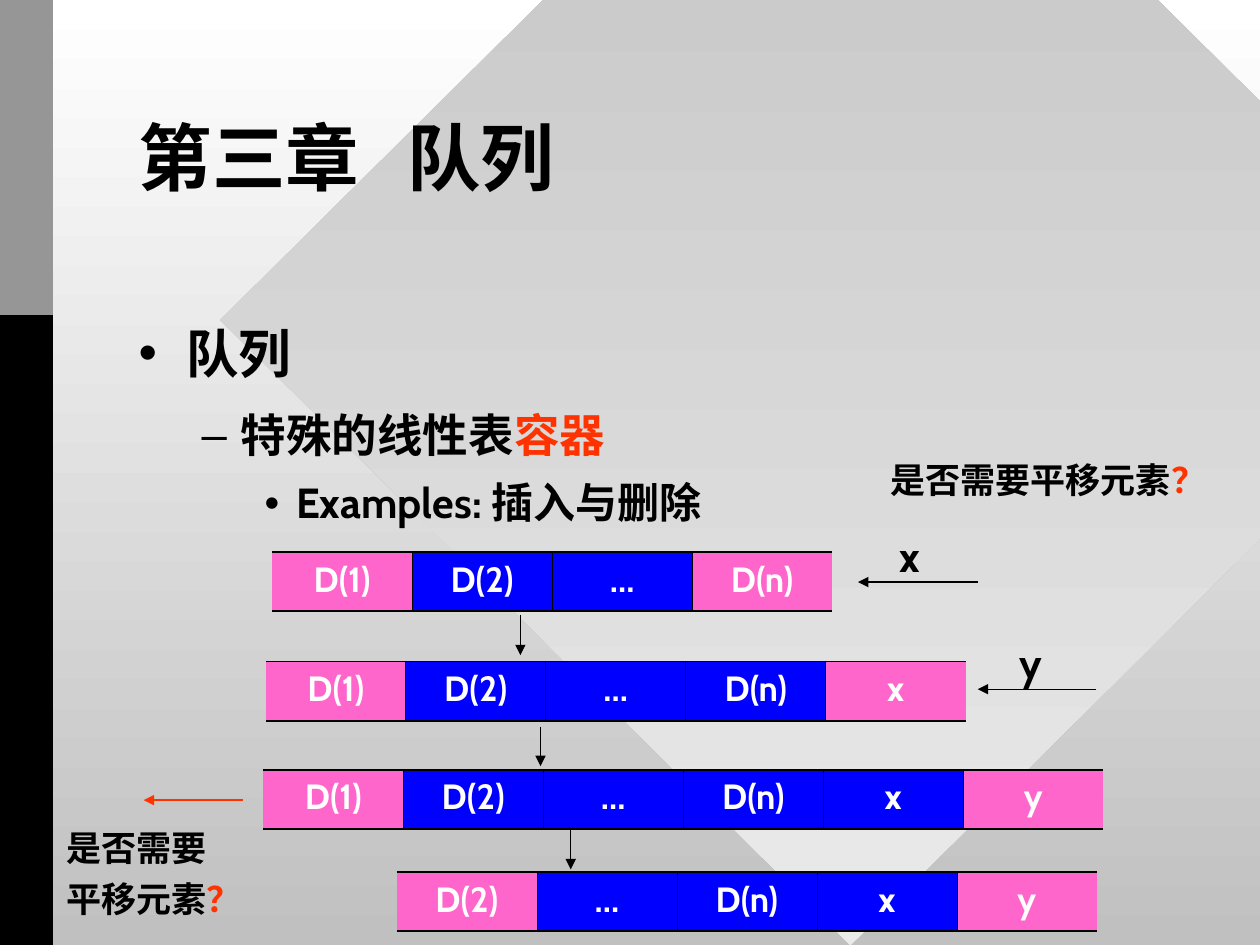
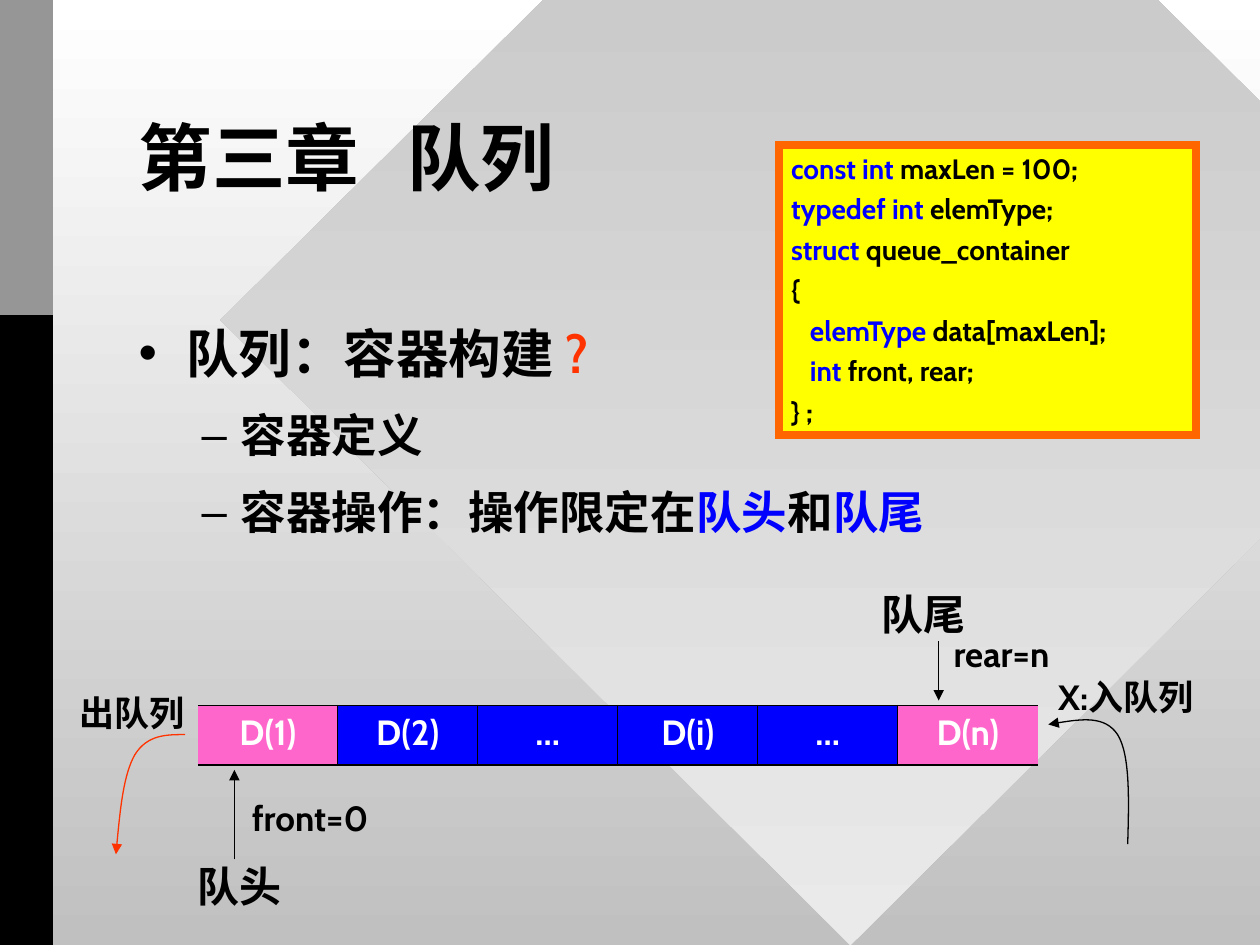
from lxml import etree
from pptx import Presentation
from pptx.dml.color import RGBColor
from pptx.enum.shapes import MSO_CONNECTOR, MSO_SHAPE
from pptx.enum.text import MSO_ANCHOR as ANCHOR, MSO_AUTO_SIZE as FIT, PP_ALIGN as ALIGN
from pptx.oxml.ns import qn
from pptx.util import Inches, Pt

rgb = RGBColor.from_string
INK, RED, BLUE, PINK, WHITE = "010000", "FF3300", "0000FF", "FF66CC", "FFFFFF"
FONT = {"name": "Cabin", "bold": True}
CELL_W, CELL_H = Pt(80), Inches(0.47)
# level: size, left margin, first-line indent, bullet, space before, line spacing
LEVELS = [
    (30, 0.38, -0.38, "•", 22.5, 1.0),
    (26, 0.81, -0.31, "–", 13, 1.0),
    (24, 1.25, -0.25, "•", 10.5, 0.95),
]


def write(tf, runs, size, **fmt):
    """Append one paragraph made of (text, colour) runs."""
    p = tf.add_paragraph() if tf.text else tf.paragraphs[0]
    for key, value in fmt.items():
        setattr(p, key, value)
    for text, color in runs:
        r = p.add_run()
        r.text = text
        r.font.size = Pt(size)
        r.font.color.rgb = rgb(color)
        for key, value in FONT.items():
            setattr(r.font, key, value)
    return p


def arrow_line(shape, color):
    """Thin line with an arrowhead at its end and no shadow."""
    shape.line.color.rgb = rgb(color)
    shape.line.width = Pt(0.75)
    etree.SubElement(shape.line._get_or_add_ln(), qn("a:tailEnd"), type="triangle")
    spPr = shape._element.spPr
    if spPr.find(qn("a:effectLst")) is None:
        etree.SubElement(spPr, qn("a:effectLst"))


prs = Presentation()
prs.slide_width, prs.slide_height = Inches(10), Inches(7.5)
master = prs.slide_master
slides = [prs.slides.add_slide(prs.slide_layouts[1]) for _ in range(2)]

# Master: background, diamond and left band
gradients = [(master.background.fill, WHITE, "C0C0C0")]
decor = [
    (MSO_SHAPE.DIAMOND, (1.75, -2.42, 10, 9.92), None),
    (MSO_SHAPE.RECTANGLE, (0, 0, 0.42, 7.5), "000000"),
    (MSO_SHAPE.RECTANGLE, (0, 0, 0.42, 2.5), "969696"),
]
for i, (kind, box, color) in enumerate(decor):
    sp = slides[0].shapes.add_shape(kind, *map(Inches, box))
    sp.shadow.inherit = False
    sp.line.fill.background()
    if color:
        sp.fill.solid()
        sp.fill.fore_color.rgb = rgb(color)
    else:
        gradients.append((sp.fill, "C0C0C0", "EAEAEA"))
    sp._element.nvSpPr.cNvPr.set("id", str(20 + i))
    master.shapes.element.insert(2 + i, sp._element)
for fill, start, end in gradients:
    fill.gradient()
    fill.gradient_angle = 270
    for stop, color in zip(fill.gradient_stops, (start, end)):
        stop.color.rgb = rgb(color)

# Titles and lists
lists = [
    [
        (0, [("队列", INK)]),
        (1, [("特殊的线性表", INK), ("容器", RED)]),
        (2, [("Examples: 插入与删除", INK)]),
    ],
    [
        (0, [("队列：容器构建 ", INK), ("?", RED)]),
        (1, [("容器定义", INK)]),
        (1, [("容器操作：操作限定在", INK), ("队头", BLUE), ("和", INK), ("队尾", BLUE)]),
    ],
]
for s, items in zip(slides, lists):
    title, body = s.shapes.title, s.placeholders[1]
    for ph, box in ((title, (1, 0.67, 8, 1.25)), (body, (1, 2.5, 8.25, 4))):
        ph.left, ph.top, ph.width, ph.height = map(Inches, box)
        ph.text_frame.auto_size = FIT.NONE
    title.text_frame.vertical_anchor = ANCHOR.MIDDLE
    write(title.text_frame, [("第三章\t 队列", "000000")], 42,
          alignment=ALIGN.LEFT, line_spacing=0.85)
    for level, runs in items:
        size, margin, indent, bullet, before, spacing = LEVELS[level]
        p = write(body.text_frame, runs, size, level=level,
                  space_before=Pt(before), line_spacing=spacing)
        pPr = p._p.get_or_add_pPr()
        pPr.set("marL", str(Inches(margin)))
        pPr.set("indent", str(Inches(indent)))
        etree.SubElement(pPr, qn("a:buChar"), char=bullet)

# Code box on the second slide
sp = slides[1].shapes.add_shape(
    MSO_SHAPE.RECTANGLE, Inches(6.18), Inches(1.15), Inches(3.31), Inches(2.3))
sp.shadow.inherit = False
sp.fill.solid()
sp.fill.fore_color.rgb = rgb("FFFF00")
sp.line.color.rgb = rgb("FF6600")
sp.line.width = Pt(4.5)
etree.SubElement(sp.line._get_or_add_ln(), qn("a:miter"), lim="800000")
tf = sp.text_frame
tf.word_wrap = True
tf.vertical_anchor = ANCHOR.TOP
code = [
    (0, "const int ", "maxLen = 100;"),
    (0, "typedef int ", "elemType;"),
    (0, "struct ", "queue_container"),
    (0, "", "{"),
    (0.15, "elemType ", "data[maxLen];"),
    (0.15, "int", " front, rear;"),
    (0, "", "} ;"),
]
for indent, keyword, rest in code:
    runs = [(text, color) for text, color in ((keyword, BLUE), (rest, INK)) if text]
    p = write(tf, runs, 16, alignment=ALIGN.LEFT, space_before=Pt(4))
    p._p.get_or_add_pPr().set("marL", str(Inches(indent)))

# Queues: one-row tables with pink ends
queues = [
    (0, 2.16, 4.38, "D(1) D(2) … D(n)"),
    (0, 2.11, 5.25, "D(1) D(2) … D(n) x"),
    (0, 2.09, 6.11, "D(1) D(2) … D(n) x y"),
    (0, 3.15, 6.92, "D(2) … D(n) x y"),
    (1, 1.57, 5.6, "D(1) D(2) … D(i) … D(n)"),
]
for n, x, y, labels in queues:
    labels = labels.split()
    last = len(labels) - 1
    tbl = slides[n].shapes.add_table(
        1, last + 1, Inches(x), Inches(y), CELL_W * (last + 1), CELL_H).table
    tbl.first_row = tbl.horz_banding = False
    for i, label in enumerate(labels):
        tbl.columns[i].width = CELL_W
        cell = tbl.cell(0, i)
        write(cell.text_frame, [(label, WHITE)], 20,
              alignment=ALIGN.CENTER, space_before=Pt(15))
        cell.fill.solid()
        cell.fill.fore_color.rgb = rgb(PINK if i in (0, last) else BLUE)
        borders = {"lnL": 0.45 * (i > 0), "lnR": 0.45 * (i < last), "lnT": 1.08, "lnB": 1.08}
        tcPr = cell._tc.get_or_add_tcPr()
        for k, (side, width) in enumerate(borders.items()):
            ln = etree.Element(qn("a:" + side), w=str(Pt(width)))
            if width:
                solid = etree.SubElement(ln, qn("a:solidFill"))
                etree.SubElement(solid, qn("a:srgbClr"), val=INK)
            else:
                etree.SubElement(ln, qn("a:noFill"))
            tcPr.insert(k, ln)

# Straight arrows
arrows = [
    (0, 7.76, 4.62, 6.81, 4.62, INK),
    (0, 8.7, 5.47, 7.76, 5.47, INK),
    (0, 4.13, 4.88, 4.13, 5.2, INK),
    (0, 4.29, 5.77, 4.29, 6.08, INK),
    (0, 4.53, 6.59, 4.53, 6.9, INK),
    (0, 1.93, 6.35, 1.14, 6.35, RED),
    (1, 1.86, 6.82, 1.86, 6.11, INK),
    (1, 7.45, 5.09, 7.45, 5.56, INK),
]
for n, *ends, color in arrows:
    line = slides[n].shapes.add_connector(MSO_CONNECTOR.STRAIGHT, *map(Inches, ends))
    arrow_line(line, color)

# Curved arrows: every three points become one Bézier segment
curves = [
    (RED, [(1.47, 5.83), (1.32, 5.83), (1.17, 5.83), (1.07, 5.99),
           (0.98, 6.15), (0.95, 6.46), (0.92, 6.78)]),
    (INK, [(8.95, 6.7), (8.96, 6.35), (8.97, 5.99), (8.87, 5.83),
           (8.77, 5.68), (8.54, 5.71), (8.32, 5.75)]),
]
for color, points in curves:
    start, *rest = [(Inches(x), Inches(y)) for x, y in points]
    builder = slides[1].shapes.build_freeform(*start)
    builder.add_line_segments(rest, close=False)
    curve = builder.convert_to_shape()
    curve.fill.background()
    curve.shadow.inherit = False
    arrow_line(curve, color)
    segments = list(curve._element.iter(qn("a:lnTo")))
    outline = segments[0].getparent()
    for i in range(0, len(segments), 3):
        bezier = etree.SubElement(outline, qn("a:cubicBezTo"))
        for seg in segments[i:i + 3]:
            bezier.append(seg[0])
            outline.remove(seg)

# Labels, wide enough to stay on one line
labels = [
    (0, (7.04, 4.16, 0.39, 0.5), 24, [[("x", INK)]]),
    (0, (7.99, 5.01, 0.39, 0.5), 24, [[("y", INK)]]),
    (0, (6.97, 3.59, 2.7, 0.44), 20, [[("是否需要平移元素", INK), ("？", RED)]]),
    (0, (0.43, 6.51, 1.59, 0.84), 20,
     [[("是否需要", INK)], [("平移元素", INK), ("？", RED)]]),
    (1, (6.9, 4.62, 0.9, 0.5), 24, [[("队尾", INK)]]),
    (1, (1.47, 6.78, 0.9, 0.5), 24, [[("队头", INK)]]),
    (1, (8.3, 5.31, 1.36, 0.44), 20, [[("X:入队列", INK)]]),
    (1, (0.53, 5.44, 1.07, 0.44), 20, [[("出队列", INK)]]),
    (1, (7.47, 4.97, 1.13, 0.44), 20, [[("rear=n", INK)]]),
    (1, (1.9, 6.27, 1.23, 0.44), 20, [[("front=0", INK)]]),
]
for n, box, size, lines in labels:
    tf = slides[n].shapes.add_textbox(*map(Inches, box)).text_frame
    tf.word_wrap = False
    tf.auto_size = FIT.SHAPE_TO_FIT_TEXT
    for runs in lines:
        write(tf, runs, size, space_before=Pt(size / 4))

prs.save("out.pptx")
